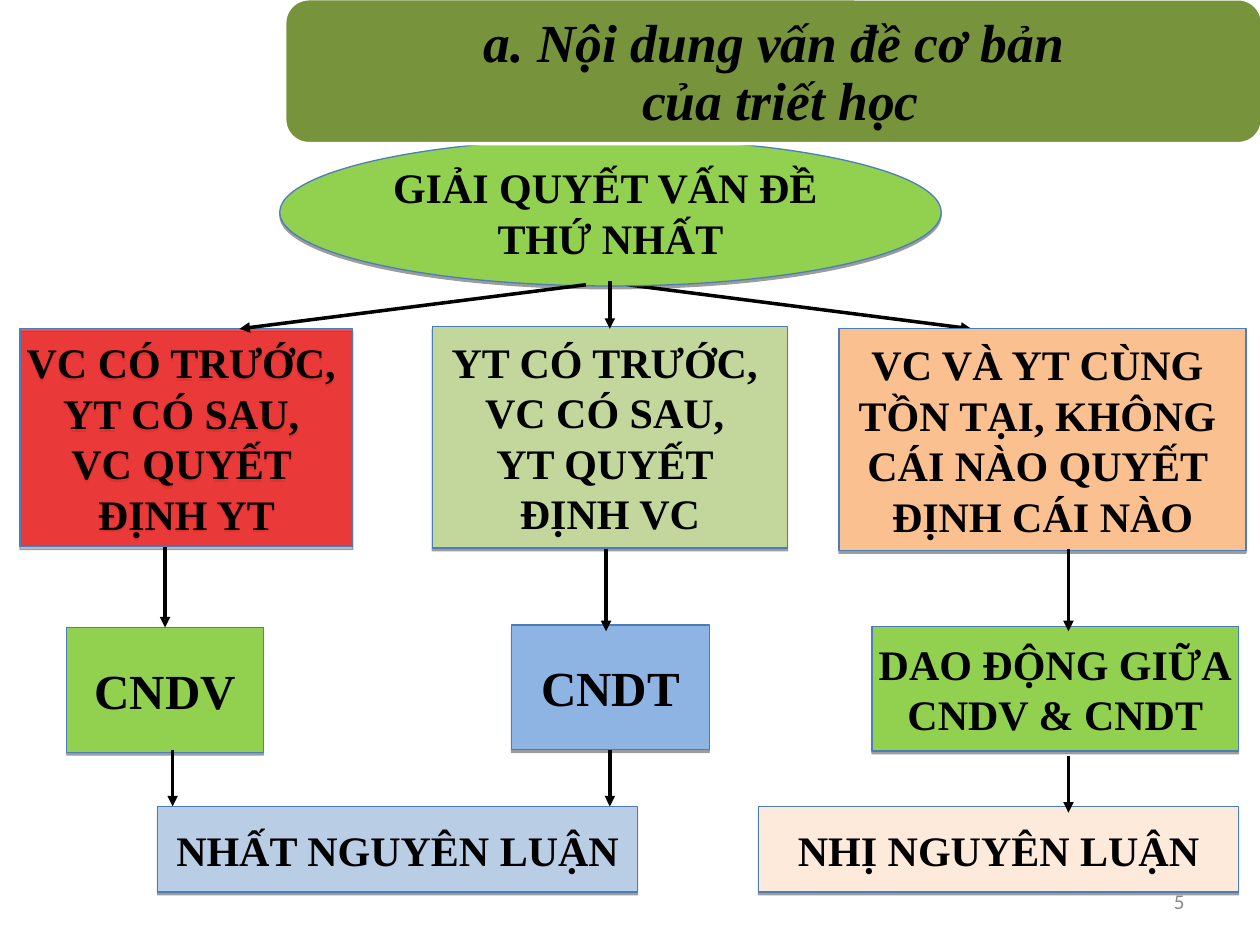
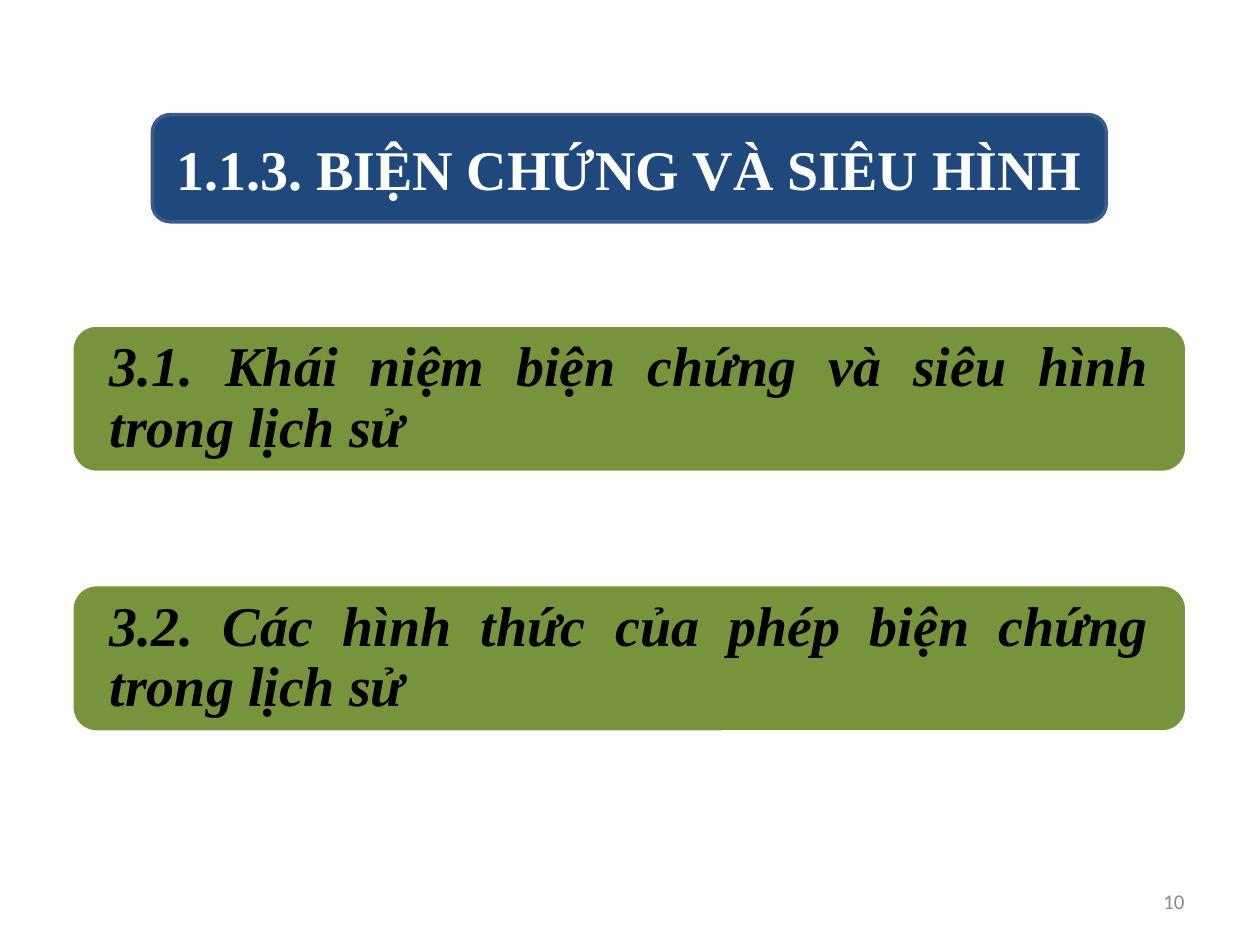
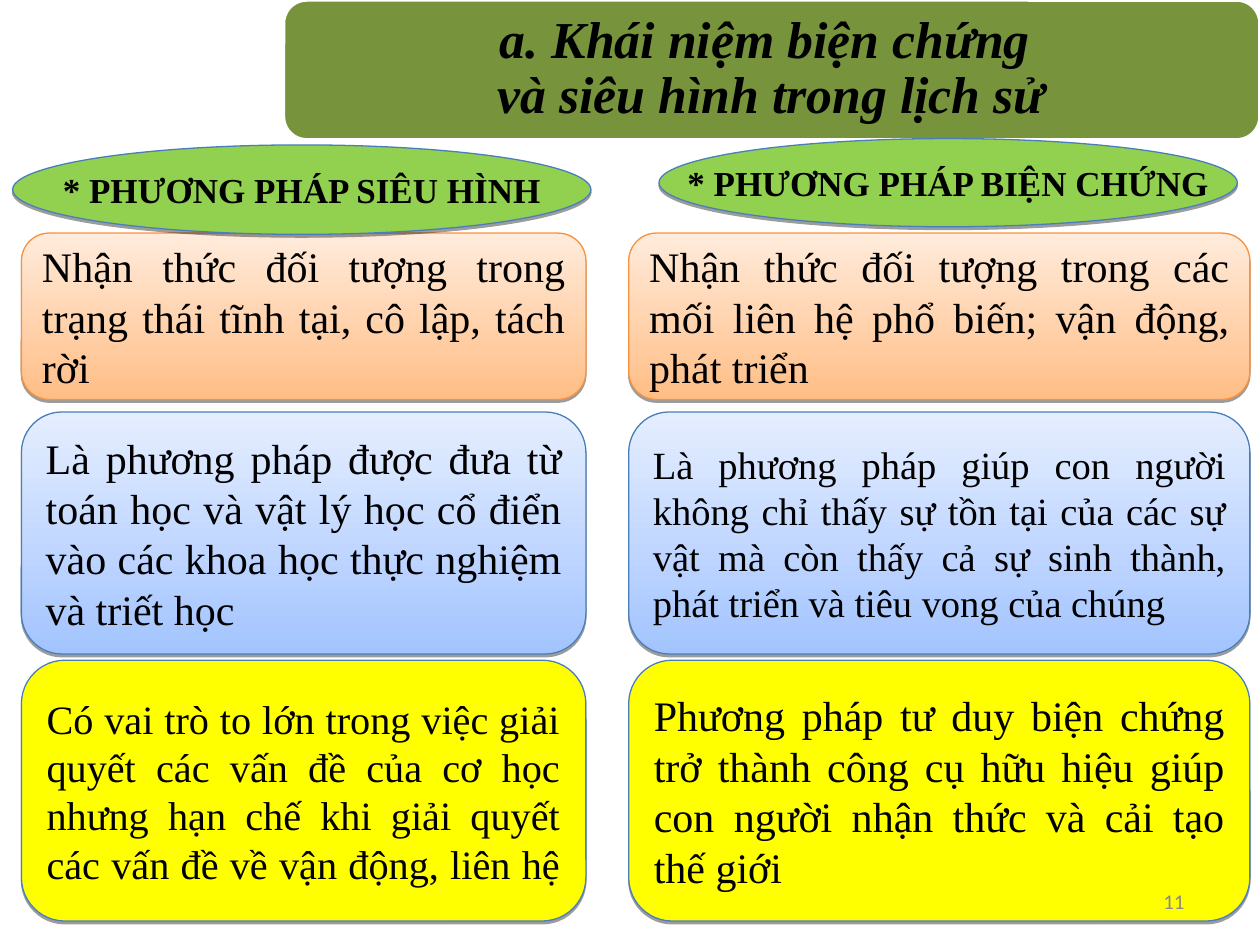
from lxml import etree
from pptx import Presentation
from pptx.dml.color import RGBColor
from pptx.enum.shapes import MSO_CONNECTOR, MSO_SHAPE
from pptx.enum.text import MSO_ANCHOR, PP_ALIGN
from pptx.oxml.ns import qn
from pptx.util import Inches, Pt

RECTANGLE = MSO_SHAPE.RECTANGLE
ROUNDED = MSO_SHAPE.ROUNDED_RECTANGLE
OVAL = MSO_SHAPE.OVAL
STRAIGHT = MSO_CONNECTOR.STRAIGHT
MIDDLE = MSO_ANCHOR.MIDDLE
CENTER = PP_ALIGN.CENTER
JUSTIFY = PP_ALIGN.JUSTIFY
RIGHT = PP_ALIGN.RIGHT

BLACK = RGBColor(0x00, 0x00, 0x00)
WHITE = RGBColor(0xFF, 0xFF, 0xFF)
GRAY = RGBColor(0x89, 0x89, 0x89)
OLIVE = RGBColor(0x77, 0x93, 0x3C)
NAVY = RGBColor(0x1F, 0x49, 0x7D)
NAVY_EDGE = RGBColor(0x38, 0x5D, 0x8A)
BLUE_EDGE = RGBColor(0x4A, 0x7E, 0xBB)
ORANGE_EDGE = RGBColor(0xF6, 0x92, 0x40)
RED = RGBColor(0xFF, 0x00, 0x00)
GREEN = RGBColor(0x92, 0xD0, 0x50)
SAGE = RGBColor(0xC3, 0xD6, 0x9B)
PEACH = RGBColor(0xFA, 0xC0, 0x90)
SKY = RGBColor(0x8E, 0xB4, 0xE3)
PALE_BLUE = RGBColor(0xB9, 0xCD, 0xE5)
CREAM = RGBColor(0xFD, 0xEA, 0xDA)
YELLOW = RGBColor(0xFF, 0xFF, 0x00)
ORANGE_FADE = (RGBColor(0xFF, 0xBE, 0x86), RGBColor(0xFF, 0xEB, 0xDB))
BLUE_FADE = (RGBColor(0xA3, 0xC4, 0xFF), RGBColor(0xE5, 0xEE, 0xFF))

SERIF = "Times New Roman"
SANS = "Calibri"

FLOW_BOXES = [
    (OVAL, 2.22, 0.1, 5.25, 1.17, GREEN, 24, "GIẢI QUYẾT VẤN ĐỀ \nTHỨ NHẤT"),
    (RECTANGLE, 0.16, 1.61, 2.64, 1.73, RED, 24,
     "VC CÓ TRƯỚC, \nYT CÓ SAU, \nVC QUYẾT \nĐỊNH YT"),
    (RECTANGLE, 3.43, 1.59, 2.82, 1.76, SAGE, 24,
     "YT CÓ TRƯỚC, \nVC CÓ SAU, \nYT QUYẾT \nĐỊNH VC"),
    (RECTANGLE, 6.66, 1.61, 3.23, 1.76, PEACH, 24,
     "VC VÀ YT CÙNG \nTỒN TẠI, KHÔNG \nCÁI NÀO QUYẾT \nĐỊNH CÁI NÀO"),
    (RECTANGLE, 0.53, 3.98, 1.56, 0.99, GREEN, 28, "CNDV"),
    (RECTANGLE, 4.06, 3.96, 1.57, 0.99, SKY, 28, "CNDT"),
    (RECTANGLE, 6.92, 3.97, 2.91, 0.99, GREEN, 24, "DAO ĐỘNG GIỮA\nCNDV & CNDT"),
    (RECTANGLE, 1.25, 5.4, 3.81, 0.68, PALE_BLUE, 24, "NHẤT NGUYÊN LUẬN"),
    (RECTANGLE, 6.02, 5.4, 3.81, 0.68, CREAM, 24, "NHỊ NGUYÊN LUẬN"),
]
RIGHT_BRANCH = (4.98, 1.26, 7.71, 1.61)
FLOW_ARROWS = [
    (4.65, 1.26, 1.9, 1.61),
    (4.84, 1.23, 4.84, 1.61),
    (1.31, 3.34, 1.31, 3.98),
    (4.81, 3.36, 4.81, 4.01),
    (8.48, 3.36, 8.48, 4.01),
    (1.37, 4.95, 1.37, 5.4),
    (4.84, 4.95, 4.84, 5.4),
    (8.48, 5, 8.48, 5.45),
]

CARD_ROWS = [
    (0, 1.32, ORANGE_FADE, ORANGE_EDGE, 6),
    (1.42, 1.92, BLUE_FADE, BLUE_EDGE, 0),
    (3.39, 2.07, YELLOW, BLUE_EDGE, 0),
]
METAPHYSICS = [
    (24, "Nhận thức đối tượng trong trạng thái tĩnh tại, cô lập, tách rời "),
    (24, "Là phương pháp được đưa từ toán học và vật lý học cổ điển "
         "vào các khoa học thực nghiệm và triết học"),
    (23, "Có vai trò to lớn trong việc giải quyết các vấn đề của cơ học "
         "nhưng hạn chế khi giải quyết các vấn đề về vận động, liên hệ "),
]
DIALECTICS = [
    (24, "Nhận thức đối tượng trong các mối liên hệ phổ biến; "
         "vận động, phát triển "),
    (22, "Là phương pháp giúp con người không chỉ thấy sự tồn tại của các sự vật "
         "mà còn thấy cả sự sinh thành, phát triển và tiêu vong của chúng"),
    (24, "Phương pháp tư duy biện chứng trở thành công cụ hữu hiệu giúp "
         "con người nhận thức và cải tạo thế giới "),
]


def write(shape, text, size, color=BLACK, font=SERIF, align=CENTER, bold=False,
          italic=False, wrap=True, spacing=None, before=0, after=0, margin=None):
    """Fill a shape with formatted text, one paragraph a line."""
    frame = shape.text_frame
    frame.text = text
    frame.word_wrap = wrap
    frame.vertical_anchor = MIDDLE
    if margin is not None:
        frame.margin_left = frame.margin_right = Inches(margin)
        frame.margin_top = frame.margin_bottom = 0
    for paragraph in frame.paragraphs:
        paragraph.alignment = align
        paragraph.space_before = Pt(before)
        paragraph.space_after = Pt(after)
        if spacing:
            paragraph.line_spacing = spacing
        for run in paragraph.runs:
            run.font.name = font
            run.font.size = Pt(size)
            run.font.bold = bold
            run.font.italic = italic
            run.font.color.rgb = color


def add_box(slide, kind, box, fill, edge, edge_width=0.75, shadow=False):
    """Add a preset shape with a solid or two-colour fill."""
    shape = slide.shapes.add_shape(kind, *map(Inches, box))
    if isinstance(fill, RGBColor):
        shape.fill.solid()
        shape.fill.fore_color.rgb = fill
    else:
        shape.fill.gradient()
        shape.fill.gradient_angle = 90
        for stop, color in zip(shape.fill.gradient_stops, fill):
            stop.color.rgb = color
    shape.line.color.rgb = edge
    shape.line.width = Pt(edge_width)
    shape.shadow.inherit = False
    if shadow:
        effects = shape._element.spPr.find(qn("a:effectLst"))
        outer = etree.SubElement(effects, qn("a:outerShdw"), blurRad="0",
                                 dist=str(Pt(1.6)), dir="5400000", rotWithShape="0")
        color = etree.SubElement(outer, qn("a:srgbClr"), val="000000")
        etree.SubElement(color, qn("a:alpha"), val="38000")
    return shape


def add_arrow(slide, left, top, ends):
    """Draw a black arrow between two points of a region."""
    x1, y1, x2, y2 = ends
    arrow = slide.shapes.add_connector(STRAIGHT, Inches(left + x1), Inches(top + y1),
                                       Inches(left + x2), Inches(top + y2))
    arrow.line.color.rgb = BLACK
    arrow.line.width = Pt(2)
    etree.SubElement(arrow.line._get_or_add_ln(), qn("a:tailEnd"), type="triangle")
    etree.SubElement(arrow._element.spPr, qn("a:effectLst"))


def add_band(slide, box, text_box, text, size, align=CENTER, after=0):
    """Add an olive band with its italic heading."""
    add_box(slide, ROUNDED, box, OLIVE, WHITE, 2)
    heading = slide.shapes.add_textbox(*map(Inches, text_box))
    write(heading, text, size, align=align, bold=True, italic=True,
          spacing=0.9, after=after, margin=0.24)


def add_number(slide, number):
    """Add the slide number at the bottom right."""
    box = slide.shapes.add_textbox(Inches(7.17), Inches(6.95), Inches(2.33), Inches(0.4))
    write(box, str(number), 12, GRAY, SANS, RIGHT)


def add_flow(slide, left, top):
    """Draw the boxes and arrows of the decision chart."""
    add_arrow(slide, left, top, RIGHT_BRANCH)
    for kind, x, y, width, height, fill, size, text in FLOW_BOXES:
        shape = add_box(slide, kind, (left + x, top + y, width, height),
                        fill, BLUE_EDGE, shadow=True)
        write(shape, text, size, bold=True, wrap=False)
        if fill == RED:
            color = shape._element.spPr.find(qn("a:solidFill"))[0]
            etree.SubElement(color, qn("a:alpha"), val="69000")
    for ends in FLOW_ARROWS:
        add_arrow(slide, left, top, ends)


def add_method(slide, left, top, width, title_box, title, cards):
    """Stack the cards of one method under its oval title."""
    for (offset, height, fill, edge, before), (size, text) in zip(CARD_ROWS, cards):
        card = add_box(slide, ROUNDED, (left, top + offset, width, height),
                       fill, edge, shadow=True)
        write(card, text, size, align=JUSTIFY, before=before)
    oval = add_box(slide, OVAL, title_box, GREEN, BLUE_EDGE, shadow=True)
    write(oval, title, 20, bold=True, wrap=False)


def build_first_question(slide):
    """Build the slide on the first question of philosophy."""
    add_flow(slide, 0, 1)
    add_band(slide, (2.26, -0.01, 7.76, 1.15), (2.43, 0.04, 7.53, 1.1),
             "a. Nội dung vấn đề cơ bản \ncủa triết học", 30.6)
    add_number(slide, 5)


def build_section(slide):
    """Build the section slide with its two topics."""
    title = add_box(slide, ROUNDED, (1.21, 0.91, 7.57, 0.85), NAVY, NAVY_EDGE, 2)
    write(title, "1.1.3. BIỆN CHỨNG VÀ SIÊU HÌNH", 32, WHITE, bold=True, before=8)
    topics = ["3.1. Khái niệm biện chứng và siêu hình trong lịch sử",
              "3.2. Các hình thức của phép biện chứng trong lịch sử"]
    for index, topic in enumerate(topics):
        top = 2.58 + 2.06 * index
        add_band(slide, (0.57, top, 8.85, 1.17), (0.63, top + 0.06, 8.73, 1.05),
                 topic, 32, JUSTIFY, 14)
    add_number(slide, 10)


def build_comparison(slide):
    """Build the slide that compares the two methods."""
    add_band(slide, (2.25, 0, 7.75, 1.11), (2.3, 0.05, 7.65, 1),
             "a. Khái niệm biện chứng \nvà siêu hình trong lịch sử", 29.6)
    add_method(slide, 0.17, 1.85, 4.48, (0.1, 1.15, 4.59, 0.71),
               "* PHƯƠNG PHÁP SIÊU HÌNH", METAPHYSICS)
    add_method(slide, 4.99, 1.85, 4.93, (5.23, 1.1, 4.59, 0.7),
               "* PHƯƠNG PHÁP BIỆN CHỨNG", DIALECTICS)
    add_number(slide, 11)


presentation = Presentation()
presentation.slide_width = Inches(10)
presentation.slide_height = Inches(7.5)
for build in (build_first_question, build_section, build_comparison):
    build(presentation.slides.add_slide(presentation.slide_layouts[6]))
presentation.save("out.pptx")
